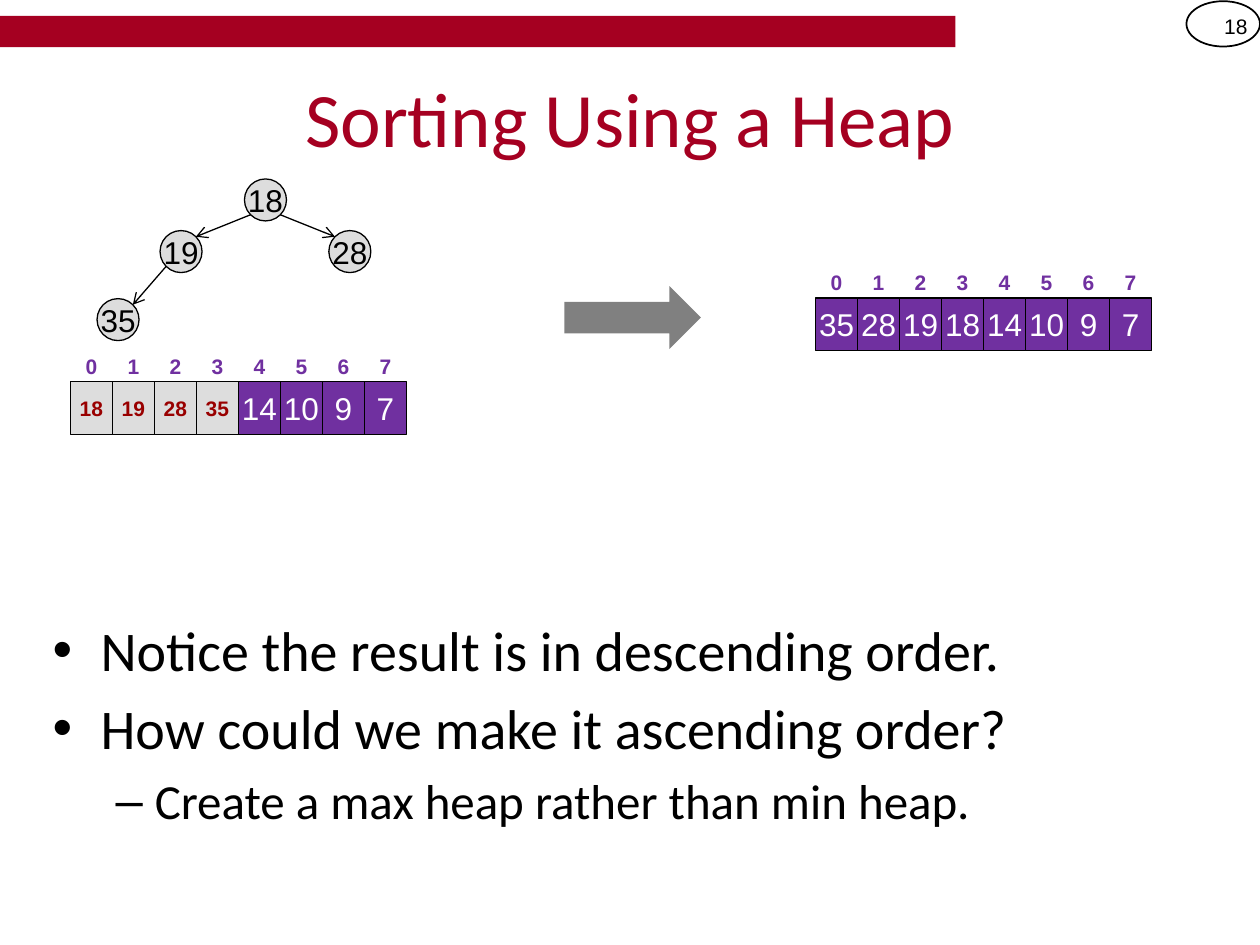
from dataclasses import dataclass
from math import sqrt

from pptx import Presentation
from pptx.dml.color import RGBColor
from pptx.enum.shapes import MSO_CONNECTOR as CXN, MSO_SHAPE as SHAPE
from pptx.enum.text import MSO_ANCHOR as ANCHOR, PP_ALIGN as ALIGN
from pptx.oxml.ns import qn
from pptx.util import Inches, Pt
from lxml.etree import SubElement


@dataclass(frozen=True)
class Theme:
    """Colours, fonts, type sizes and line widths of the slide."""
    red: str = "A50021"
    dark_red: str = "990000"
    purple: str = "7030A0"
    pale: str = "DDDDDD"
    grey: str = "808080"
    black: str = "000000"
    white: str = "FFFFFF"
    heading_font: str = "Calibri"
    label_font: str = "Arial"
    title: int = 44
    body: int = 32
    sub: int = 28
    value: int = 18
    index: int = 12
    thin: float = 0.75
    rim: float = 1


T = Theme()
UNIT = Inches(10) / 120
CELL_W, CELL_H, INDEX_H = 4, 5, 3
NODES = {"18": (23.28, 17.04), "28": (31.32, 21.96),
         "19": (15.24, 21.96), "35": (9.24, 28.44)}
EDGES = (("18", "28"), ("18", "19"), ("19", "35"))
VALUES = ("35", "28", "19", "18", "14", "10", "9", "7")
HEAP = ("18", "19", "28", "35")
POINTS = (("Notice the result is in descending order.", 0),
          ("How could we make it ascending order?", 0),
          ("Create a max heap rather than min heap.", 1))


def grid(*units):
    """Turn grid units into slide lengths."""
    return [round(u * UNIT) for u in units]


def add_run(p, text, size, color, font=T.label_font, bold=False):
    """Append one formatted run to a paragraph."""
    r = p.add_run()
    r.text = text
    r.font.size, r.font.name, r.font.bold = Pt(size), font, bold
    r.font.color.rgb = RGBColor.from_string(color)


def add_label(sp, text, size, color, bold=False):
    """Centre one unwrapped line of text in a shape."""
    tf = sp.text_frame
    tf.margin_left = tf.margin_right = tf.margin_top = tf.margin_bottom = 0
    tf.word_wrap = False
    tf.vertical_anchor = ANCHOR.MIDDLE
    p = tf.paragraphs[0]
    p.alignment = ALIGN.CENTER
    add_run(p, text, size, color, bold=bold)


def add_shape(s, kind, box, fill=None, line=None):
    """Draw a flat preset shape on the grid."""
    sp = s.shapes.add_shape(kind, *grid(*box))
    sp.shadow.inherit = False
    if fill:
        sp.fill.solid()
        sp.fill.fore_color.rgb = RGBColor.from_string(fill)
    else:
        sp.fill.background()
    if line:
        sp.line.color.rgb = RGBColor.from_string(T.black)
        sp.line.width = Pt(line)
    else:
        sp.line.fill.background()
    return sp


def add_edge(s, parent, child):
    """Join the facing diagonal points of two tree nodes with an arrow."""
    (x1, y1), (x2, y2) = NODES[parent], NODES[child]
    mid, reach = CELL_W / 2, CELL_W / 2 / sqrt(2)
    side = reach if x2 > x1 else -reach
    cx = s.shapes.add_connector(CXN.STRAIGHT, *grid(
        x1 + mid + side, y1 + mid + reach, x2 + mid - side, y2 + mid - reach))
    cx.line.color.rgb = RGBColor.from_string(T.black)
    cx.line.width = Pt(T.thin)
    SubElement(cx.line._get_or_add_ln(), qn("a:tailEnd"), type="arrow")
    SubElement(cx._element.spPr, qn("a:effectLst"))


def add_tree(s):
    """Draw the heap as a binary tree."""
    for value, (x, y) in NODES.items():
        sp = add_shape(s, SHAPE.OVAL, (x, y, CELL_W, CELL_W), T.pale, T.thin)
        add_label(sp, value, T.value, T.black)
    for parent, child in EDGES:
        add_edge(s, parent, child)


def add_array(s, left, top, values, heap_size=0):
    """Draw an indexed array whose first cells belong to the heap."""
    for i, value in enumerate(values):
        x = left + i * CELL_W
        in_heap = i < heap_size
        sp = add_shape(s, SHAPE.RECTANGLE, (x, top, CELL_W, CELL_H),
                       T.pale if in_heap else T.purple, T.thin)
        if in_heap:
            add_label(sp, value, T.index, T.dark_red, bold=True)
        else:
            add_label(sp, value, T.value, T.white)
        tb = s.shapes.add_textbox(*grid(x, top - INDEX_H, CELL_W, INDEX_H))
        add_label(tb, str(i), T.index, T.purple, bold=True)


def add_header(s):
    """Draw the top band and the page number in its oval."""
    add_shape(s, SHAPE.RECTANGLE, (0, 1.5, 91, 3), T.red)
    add_shape(s, SHAPE.OVAL, (113, 0.12, 7, 4.32), line=T.rim)
    tf = s.shapes.add_textbox(*grid(113, 0.12, 7, 4.8)).text_frame
    tf.word_wrap = True
    tf.vertical_anchor = ANCHOR.MIDDLE
    p = tf.paragraphs[0]
    p.alignment = ALIGN.RIGHT
    add_run(p, "18", T.index, T.black)


def set_title(s, text):
    """Place and format the title placeholder."""
    sp = s.shapes.title
    sp.left, sp.top, sp.width, sp.height = grid(6, 3.6, 108, 15)
    tf = sp.text_frame
    tf.vertical_anchor = ANCHOR.MIDDLE
    p = tf.paragraphs[0]
    p.alignment = ALIGN.CENTER
    add_run(p, text, T.title, T.red, T.heading_font)


def add_points(s, points):
    """Write the two-level bullet list."""
    tf = s.shapes.add_textbox(*grid(3.84, 58, 112, 21)).text_frame
    tf.word_wrap = True
    levels = ((0.38, -0.38, "•", T.body), (0.81, -0.31, "–", T.sub))
    for i, (text, level) in enumerate(points):
        p = tf.add_paragraph() if i else tf.paragraphs[0]
        margin, indent, mark, size = levels[level]
        p.level = level
        if i:
            p.space_before = Pt(size * 0.2)
        pPr = p._p.get_or_add_pPr()
        pPr.set("marL", str(Inches(margin)))
        pPr.set("indent", str(Inches(indent)))
        SubElement(pPr, qn("a:buFont"), typeface=T.label_font)
        SubElement(pPr, qn("a:buChar"), char=mark)
        add_run(p, text, size, T.black, T.heading_font)


def main():
    """Build the slide and save it."""
    prs = Presentation()
    prs.slide_width, prs.slide_height = Inches(10), Inches(7.5)
    s = prs.slides.add_slide(prs.slide_layouts[5])
    add_header(s)
    set_title(s, "Sorting Using a Heap")
    add_points(s, POINTS)
    add_tree(s)
    add_array(s, 6.7, 36.36, HEAP + VALUES[len(HEAP):], len(HEAP))
    add_array(s, 77.67, 28.4, VALUES)
    add_shape(s, SHAPE.RIGHT_ARROW, (53.75, 27.25, 13, 6), T.grey)
    prs.save("out.pptx")


if __name__ == "__main__":
    main()
